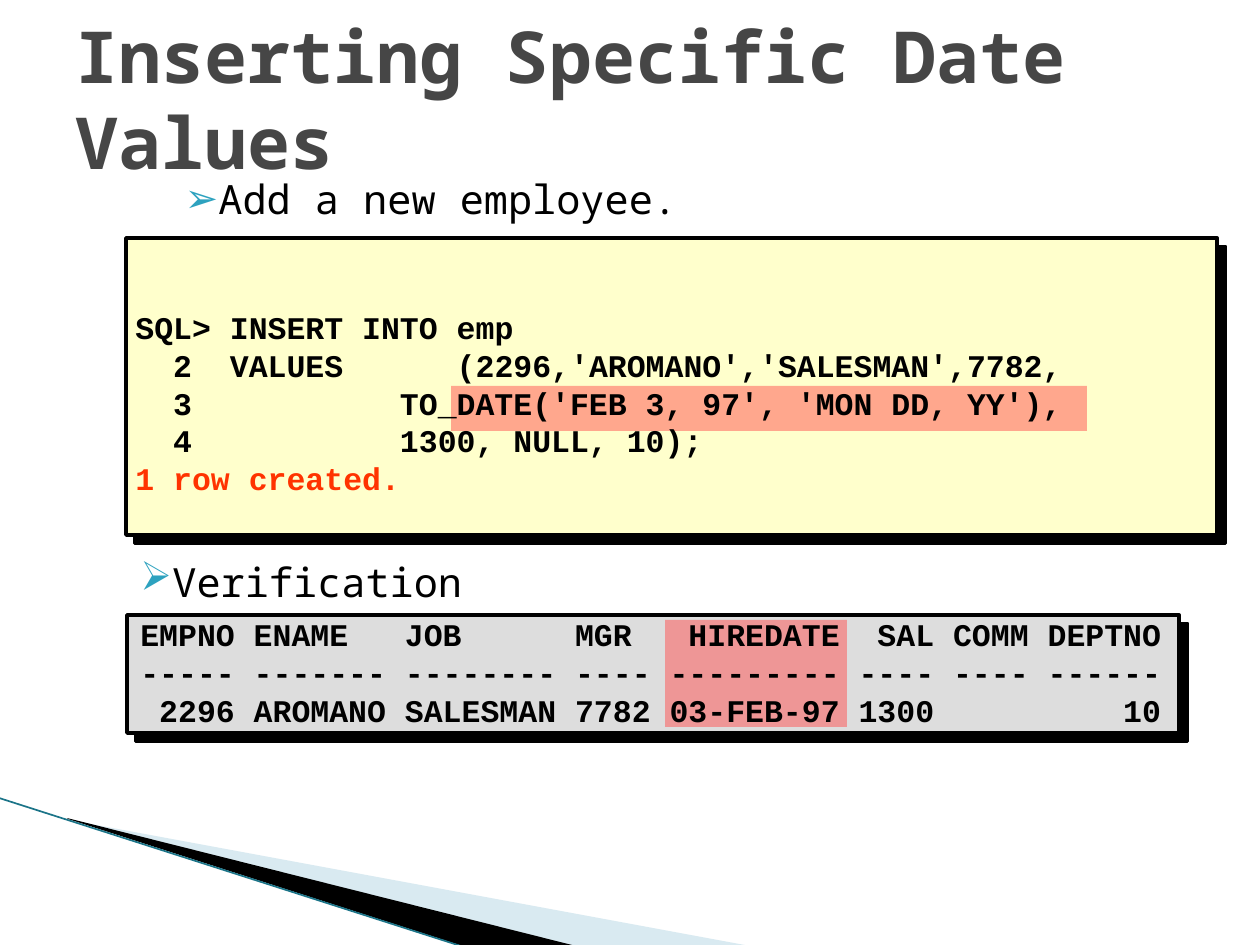
from pptx import Presentation
from pptx.dml.color import RGBColor
from pptx.enum.shapes import MSO_CONNECTOR, MSO_SHAPE
from pptx.enum.text import MSO_ANCHOR as Anchor, MSO_AUTO_SIZE as AutoSize, PP_ALIGN as Align
from pptx.oxml.ns import qn
from pptx.util import Emu, Pt
from lxml.etree import SubElement

EMU_PER_PX = 914400 / 126


def px(length):
    return Emu(round(length * EMU_PER_PX))


def color(hex_string):
    return RGBColor.from_string(hex_string)


class SlideBuilder:
    heading_font = "Noto Sans Mono"
    code_font = "Courier New"
    black = "000000"
    accent = "2DA2BF"

    def __init__(self, slide):
        self.slide = slide
        self.shapes = slide.shapes

    def place(self, shape, left, top, width, height):
        shape.left, shape.top = px(left), px(top)
        shape.width, shape.height = px(width), px(height)

    def format_runs(self, paragraph, font_name, size, hex_string, bold=False):
        for run in paragraph.runs:
            run.font.name = font_name
            run.font.size = Pt(size)
            run.font.bold = bold
            run.font.color.rgb = color(hex_string)

    def fill(self, shape, hex_string, opacity=100):
        shape.fill.solid()
        shape.fill.fore_color.rgb = color(hex_string)
        if opacity < 100:
            rgb = shape.fill._xPr.find(qn("a:solidFill")).find(qn("a:srgbClr"))
            SubElement(rgb, qn("a:alpha"), val=str(opacity * 1000))

    def title(self, text, *box):
        title = self.shapes.title
        self.place(title, *box)
        frame = title.text_frame
        frame.text = text
        frame.auto_size = AutoSize.NONE
        frame.vertical_anchor = Anchor.MIDDLE
        paragraph = frame.paragraphs[0]
        paragraph.alignment = Align.LEFT
        self.format_runs(paragraph, self.heading_font, 41, "464646", bold=True)

    def bullet(self, shape, text, *box):
        self.place(shape, *box)
        frame = shape.text_frame
        frame.text = text
        frame.word_wrap = True
        frame.auto_size = AutoSize.NONE
        paragraph = frame.paragraphs[0]
        paragraph.level = 1
        paragraph.space_before = Pt(3.2)
        self.format_runs(paragraph, self.heading_font, 23, self.black)
        properties = paragraph._p.get_or_add_pPr()
        properties.set("marL", str(px(86)))
        properties.set("indent", str(px(-32)))
        bullet_color = SubElement(properties, qn("a:buClr"))
        SubElement(bullet_color, qn("a:srgbClr"), val=self.accent)
        SubElement(properties, qn("a:buChar"), char="➢")

    def rectangle(self, hex_string, *box, opacity=100):
        shape = self.shapes.add_shape(MSO_SHAPE.RECTANGLE, 0, 0, 0, 0)
        self.place(shape, *box)
        shape.shadow.inherit = False
        shape.line.fill.background()
        self.fill(shape, hex_string, opacity)
        return shape

    def panel(self, hex_string, *box):
        """Outlined rectangle with a hard shadow to the lower right."""
        shape = self.rectangle(hex_string, *box)
        shape.line.color.rgb = color(self.black)
        shape.line.width = Pt(2)
        effects = shape._element.spPr.find(qn("a:effectLst"))
        shadow = SubElement(effects, qn("a:outerShdw"), dist=str(Pt(7.1)),
                            dir="2700000", algn="ctr", rotWithShape="0")
        SubElement(shadow, qn("a:srgbClr"), val=self.black)

    def code(self, lines, *box, wrap=True, anchor=Anchor.TOP, result_line=None):
        """Monospaced listing; result_line is the index of a line set in red."""
        shape = self.shapes.add_textbox(0, 0, 0, 0)
        self.place(shape, *box)
        frame = shape.text_frame
        frame.word_wrap = wrap
        frame.vertical_anchor = anchor
        for index, line in enumerate(lines):
            paragraph = frame.paragraphs[0] if index == 0 else frame.add_paragraph()
            paragraph.text = line
            text_color = "FF3300" if index == result_line else self.black
            self.format_runs(paragraph, self.code_font, 18, text_color, bold=True)
            tabs = SubElement(paragraph._p.get_or_add_pPr(), qn("a:tabLst"))
            SubElement(tabs, qn("a:tab"), pos=str(px(165)), algn="l")

    def polygon(self, hex_string, points, opacity=100):
        builder = self.shapes.build_freeform(*points[0], scale=EMU_PER_PX)
        builder.add_line_segments(points[1:], close=True)
        shape = builder.convert_to_shape()
        shape.shadow.inherit = False
        shape.line.fill.background()
        self.fill(shape, hex_string, opacity)

    def line(self, hex_string, width, *ends):
        connector = self.shapes.add_connector(MSO_CONNECTOR.STRAIGHT, *map(px, ends))
        connector.line.color.rgb = color(hex_string)
        connector.line.width = Pt(width)
        SubElement(connector._element.spPr, qn("a:effectLst"))


def main():
    presentation = Presentation()
    presentation.slide_width, presentation.slide_height = px(1260), px(945)
    slide = presentation.slides.add_slide(presentation.slide_layouts[1])
    builder = SlideBuilder(slide)

    builder.polygon("A0CBDC", [(69, 820), (750, 946), (575, 946), (69, 819)], opacity=40)
    builder.polygon("000000", [(67, 818), (576, 946), (469, 948), (68, 819)])
    builder.line("1B7488", 0.95, -1, 798, 467, 948)

    builder.title("Inserting Specific Date Values", 63, 38, 1134, 120)
    builder.bullet(slide.placeholders[1], "Add a new employee.", 118, 168, 1018, 69)
    builder.panel("FFFFCC", 126, 238, 1091, 297)
    builder.rectangle("FF5050", 451, 386, 636, 45, opacity=50)
    builder.code([
        "SQL> INSERT INTO emp",
        "  2  VALUES      (2296,'AROMANO','SALESMAN',7782,",
        "  3\t\t    TO_DATE('FEB 3, 97', 'MON DD, YY'),",
        "  4\t\t    1300, NULL, 10);",
        "1 row created.",
    ], 123, 352, 1074, 101, wrap=False, anchor=Anchor.MIDDLE, result_line=4)

    verification = builder.shapes.add_textbox(0, 0, 0, 0)
    builder.bullet(verification, "Verification", 74, 551, 1018, 69)
    builder.panel("DDDDDD", 127, 615, 1052, 118)
    builder.rectangle("FF5050", 665, 620, 182, 107, opacity=50)
    builder.code([
        "EMPNO ENAME   JOB      MGR   HIREDATE  SAL COMM DEPTNO",
        "----- ------- -------- ---- --------- ---- ---- ------",
        " 2296 AROMANO SALESMAN 7782 03-FEB-97 1300          10",
    ], 128, 609, 1070, 126)

    presentation.save("out.pptx")


if __name__ == "__main__":
    main()
